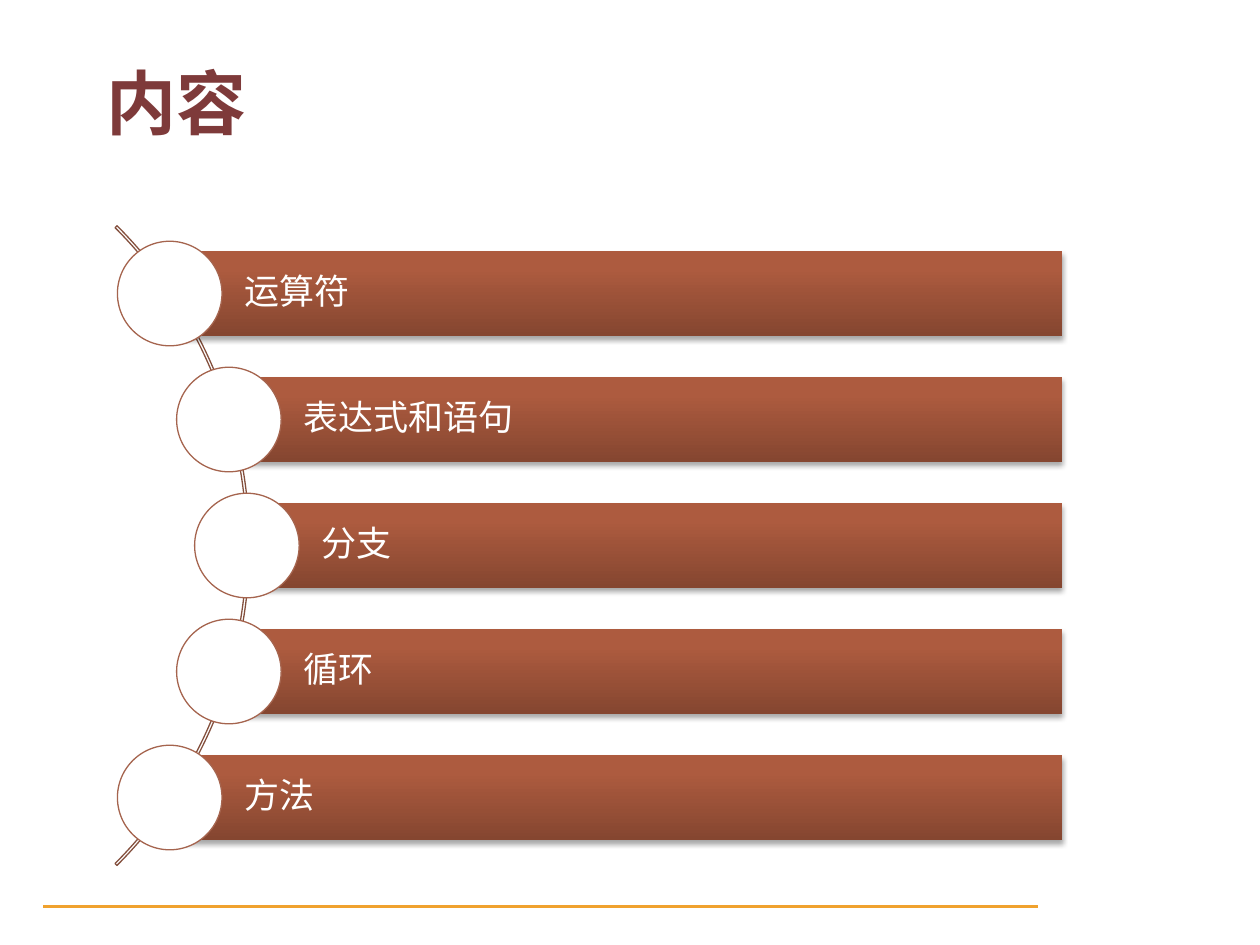
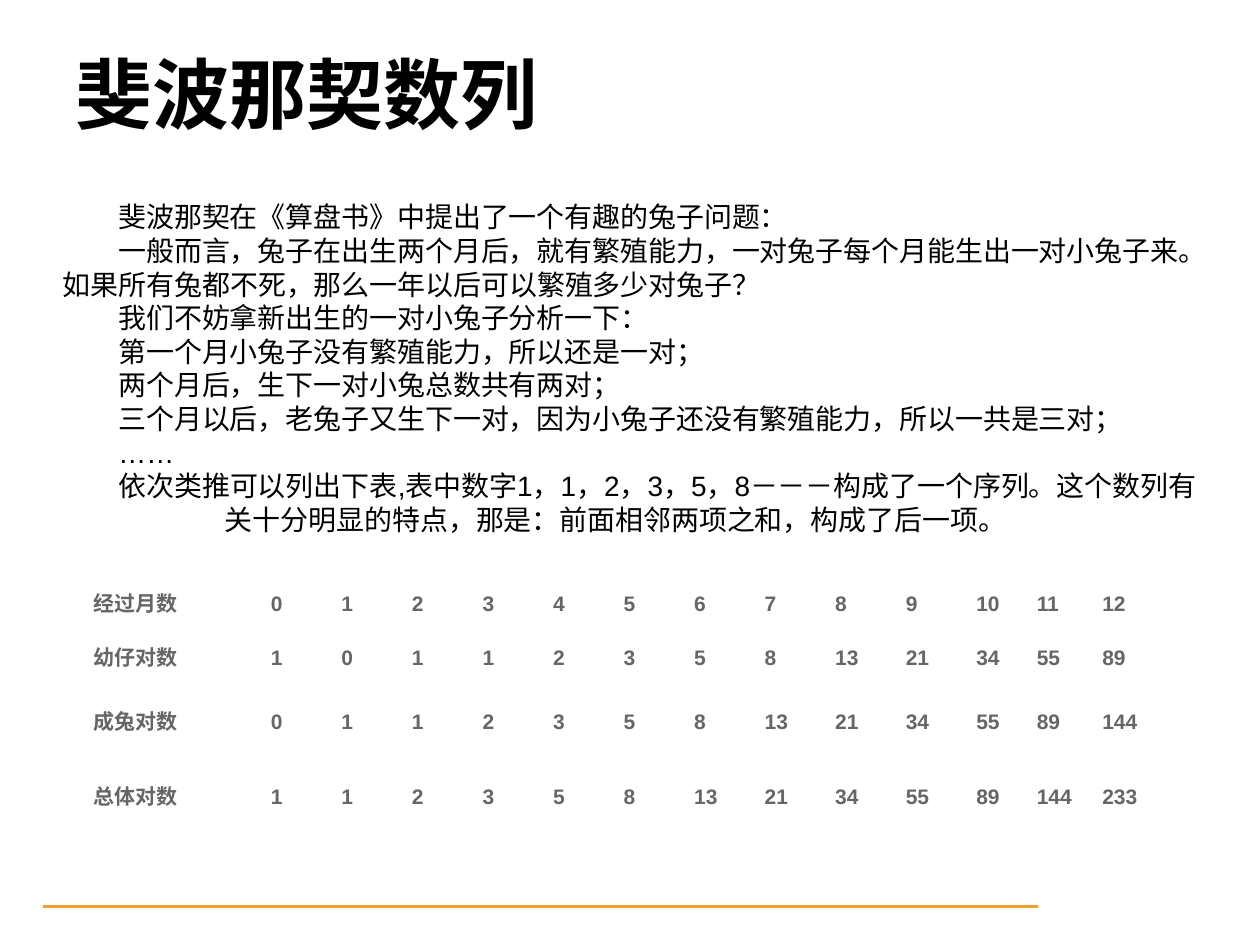
from dataclasses import dataclass
from math import sqrt

from lxml import etree
from pptx import Presentation
from pptx.dml.color import RGBColor
from pptx.enum.lang import MSO_LANGUAGE_ID
from pptx.enum.shapes import MSO_SHAPE
from pptx.enum.text import MSO_ANCHOR, PP_ALIGN
from pptx.oxml.ns import qn
from pptx.util import Inches, Pt

RECTANGLE = MSO_SHAPE.RECTANGLE
OVAL = MSO_SHAPE.OVAL
BLOCK_ARC = MSO_SHAPE.BLOCK_ARC
TOP = MSO_ANCHOR.TOP
MIDDLE = MSO_ANCHOR.MIDDLE
LEFT = PP_ALIGN.LEFT
CENTER = PP_ALIGN.CENTER
CHINESE = MSO_LANGUAGE_ID.SIMPLIFIED_CHINESE


@dataclass(frozen=True)
class Theme:
    white: str = "FFFFFF"
    black: str = "000000"
    maroon: str = "7E3A3A"
    amber: str = "F0A22E"
    arc_line: str = "84503E"
    circle_line: str = "A5644E"
    table_gray: str = "666666"
    bar_stops: tuple = ((0, "854630"), (80, "AD5B3F"), (100, "AF5A3D"))
    heading_font: str = "Noto Sans CJK SC"
    body_font: str = "Arial"
    contents_title: int = 40
    topic_title: int = 44
    bar_size: int = 20
    body_size: int = 16
    table_size: int = 12


theme = Theme()


def add_box(page, kind, left, top, width, height, fill=None, line=None, weight=0.75):
    box = page.shapes.add_shape(
        kind, Inches(left), Inches(top), Inches(width), Inches(height)
    )
    box.shadow.inherit = False
    if fill:
        box.fill.solid()
        box.fill.fore_color.rgb = RGBColor.from_string(fill)
    else:
        box.fill.background()
    if line:
        box.line.color.rgb = RGBColor.from_string(line)
        box.line.width = Pt(weight)
    else:
        box.line.fill.background()
    return box


def write(frame, *lines, size, color, font=theme.heading_font, bold=False,
          align=LEFT, spacing=None, margin=0, indent=0):
    frame.word_wrap = True
    for number, line in enumerate(lines):
        para = frame.add_paragraph() if number else frame.paragraphs[0]
        para.alignment = align
        para.line_spacing = spacing
        properties = para._p.get_or_add_pPr()
        properties.set("marL", str(Inches(margin)))
        properties.set("indent", str(Inches(indent)))
        span = para.add_run()
        span.text = line
        span.font.size = Pt(size)
        span.font.bold = bold
        span.font.name = font
        span.font.language_id = CHINESE
        span.font.color.rgb = RGBColor.from_string(color)
        east_asian = etree.SubElement(span.font._element, qn("a:ea"))
        east_asian.set("typeface", font)


deck = Presentation()
deck.slide_width = Inches(10)
deck.slide_height = Inches(7.5)
contents, fibonacci = [deck.slides.add_slide(deck.slide_layouts[6]) for _ in range(2)]

titles = (
    (contents, "内容", (0.75, 0.42, 8.11, 0.75), TOP, theme.contents_title, theme.maroon),
    (fibonacci, "斐波那契数列", (0.5, 0.3, 6.83, 0.87), MIDDLE, theme.topic_title, theme.black),
)
for page, title, place, anchor, size, color in titles:
    add_box(page, RECTANGLE, 0.33, 7.17, 7.92, 0.05, theme.amber, theme.white, 2)
    title_box = page.shapes.add_textbox(*map(Inches, place))
    title_box.text_frame.vertical_anchor = anchor
    write(title_box.text_frame, title, size=size, color=color, bold=True)

arc_size = 7.18
arc_center_x, arc_center_y = -1.61, 4.33
arc_radius = 3.57
arc = add_box(contents, BLOCK_ARC, arc_center_x - arc_size / 2,
              arc_center_y - arc_size / 2, arc_size, arc_size, line=theme.arc_line)
for index, value in enumerate((189, 27, 0.003)):
    arc.adjustments[index] = value

topics = ("运算符", "表达式和语句", "分支", "循环", "方法")
bar_right, bar_height, circle_size = 8.43, 0.67, 0.83
for index, topic in enumerate(topics):
    offset = index - len(topics) // 2
    center_x = arc_center_x + sqrt(arc_radius ** 2 - offset ** 2)
    center_y = arc_center_y + offset

    bar = add_box(contents, RECTANGLE, center_x, center_y - bar_height / 2,
                  bar_right - center_x, bar_height)
    bar.fill.gradient()
    bar.fill.gradient_angle = 90
    stops = bar._element.spPr.find(".//" + qn("a:gsLst"))
    for stop in list(stops):
        stops.remove(stop)
    for position, color in theme.bar_stops:
        stop = etree.SubElement(stops, qn("a:gs"), pos=str(position * 1000))
        etree.SubElement(stop, qn("a:srgbClr"), val=color)
    effects = bar._element.spPr.find(qn("a:effectLst"))
    shadow = etree.SubElement(effects, qn("a:outerShdw"), blurRad=str(Pt(3.1)),
                              dist=str(Pt(1.8)), dir="5400000", rotWithShape="0")
    shade = etree.SubElement(shadow, qn("a:srgbClr"), val=theme.black)
    etree.SubElement(shade, qn("a:alpha"), val="35000")

    frame = bar.text_frame
    frame.vertical_anchor = MIDDLE
    frame.margin_left = Inches(0.59)
    frame.margin_top = frame.margin_right = frame.margin_bottom = Inches(0.06)
    write(frame, topic, size=theme.bar_size, color=theme.white, spacing=0.9)

    add_box(contents, OVAL, center_x - circle_size / 2, center_y - circle_size / 2,
            circle_size, circle_size, theme.white, theme.circle_line)

story = (
    "斐波那契在《算盘书》中提出了一个有趣的兔子问题：",
    "一般而言，兔子在出生两个月后，就有繁殖能力，一对兔子每个月能生出一对小兔子来。如果所有兔都不死，那么一年以后可以繁殖多少对兔子？",
    "我们不妨拿新出生的一对小兔子分析一下：",
    "第一个月小兔子没有繁殖能力，所以还是一对；",
    "两个月后，生下一对小兔总数共有两对；",
    "三个月以后，老兔子又生下一对，因为小兔子还没有繁殖能力，所以一共是三对；",
    "……",
    "依次类推可以列出下表,表中数字1，1，2，3，5，8－－－构成了一个序列。这个数列有关十分明显的特点，那是：前面相邻两项之和，构成了后一项。　",
)
story_box = add_box(fibonacci, RECTANGLE, 0.5, 1.58, 9, 2.77, theme.white)
frame = story_box.text_frame
frame.vertical_anchor = MIDDLE
frame.margin_left = frame.margin_top = frame.margin_right = 0
frame.margin_bottom = Inches(0.09)
write(frame, *story, size=theme.body_size, color=theme.black,
      font=theme.body_font, indent=0.44)
frame.paragraphs[-1].alignment = CENTER

rabbit_counts = (
    ("经过月数", 0, 1, 2, 3, 4, 5, 6, 7, 8, 9, 10, 11, 12),
    ("幼仔对数", 1, 0, 1, 1, 2, 3, 5, 8, 13, 21, 34, 55, 89),
    ("成兔对数", 0, 1, 1, 2, 3, 5, 8, 13, 21, 34, 55, 89, 144),
    ("总体对数", 1, 1, 2, 3, 5, 8, 13, 21, 34, 55, 89, 144, 233),
)
column_widths = [1.41] + [0.56] * 10 + [0.48, 0.52, 0.69]
row_heights = (0.43, 0.43, 0.59, 0.59)
table = fibonacci.shapes.add_table(
    len(row_heights), len(column_widths), Inches(0.64), Inches(4.58),
    Inches(sum(column_widths)), Inches(sum(row_heights))
).table
table.first_row = False
table.horz_banding = False
for column, width in zip(table.columns, column_widths):
    column.width = Inches(width)
for row, height, counts in zip(table.rows, row_heights, rabbit_counts):
    row.height = Inches(height)
    for cell, count in zip(row.cells, counts):
        cell.fill.solid()
        cell.fill.fore_color.rgb = RGBColor.from_string(theme.white)
        cell.vertical_anchor = MIDDLE
        write(cell.text_frame, str(count), size=theme.table_size,
              color=theme.table_gray, font=theme.body_font, bold=True,
              margin=0.38, indent=-0.38)

deck.save("out.pptx")
